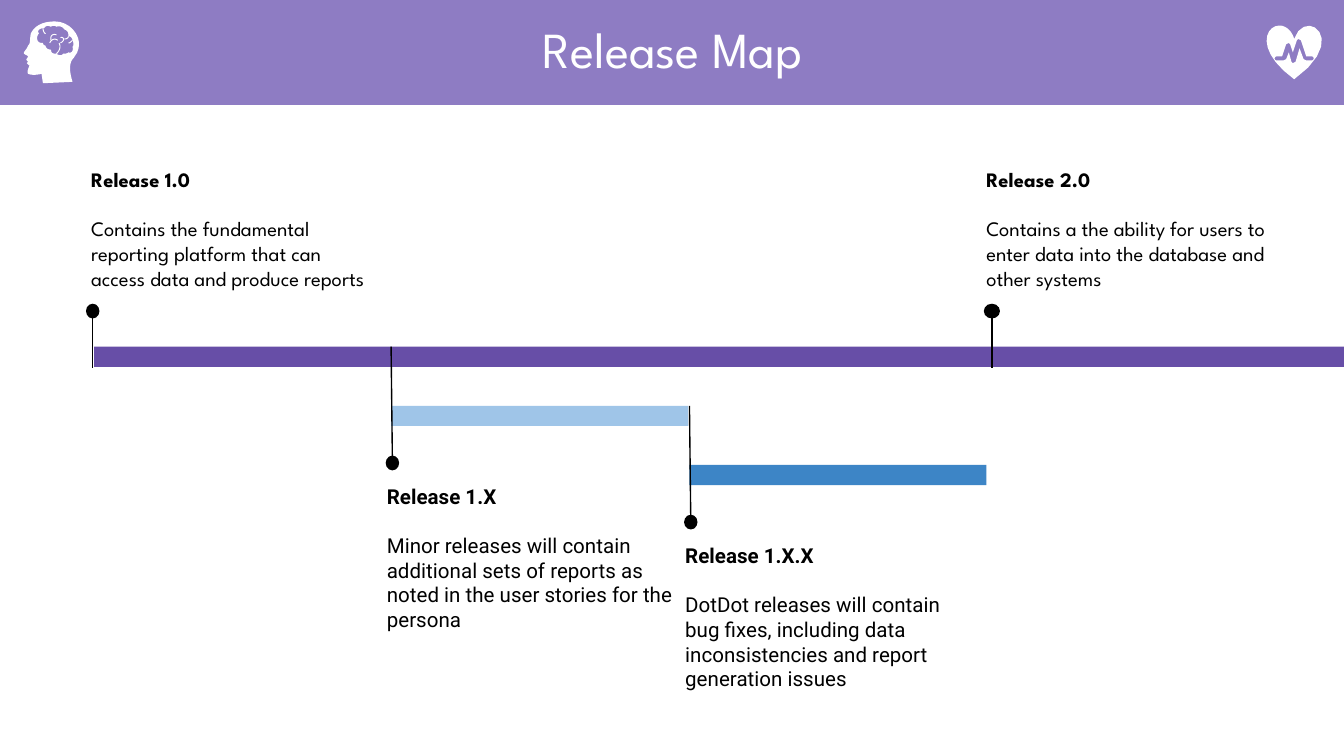
from lxml import etree
from pptx import Presentation
from pptx import util as u
from pptx.dml.color import RGBColor
from pptx.enum import shapes, text
from pptx.oxml.ns import qn

COLORS = {
    "white": "FFFFFF", "black": "000000", "header": "8E7CC3",
    "major": "674EA7", "minor": "9FC5E8", "dotdot": "3D85C6",
}
SPARTAN, ROBOTO = "League Spartan", "Roboto"
BODY_SIZE, BLANK_LINE = 11, 13.2

# Outlines: a start point, then (x, y) line ends or six-number Bezier segments.
HEART = [
    (9.52, 0.19), (9.56, 0.19, 9.61, 0.22, 9.63, 0.29),
    (9.71, 0.05, 10.05, 0.29, 9.63, 0.59), (9.33, 0.37, 9.42, 0.19, 9.52, 0.19),
]
PULSE = [
    (9.66, 0.29), (9.65, 0.3), (9.62, 0.39), (9.6, 0.33), (9.59, 0.32), (9.57, 0.33),
    (9.54, 0.42), (9.5, 0.42), (9.48, 0.42, 9.48, 0.45, 9.5, 0.45), (9.55, 0.45),
    (9.57, 0.44), (9.59, 0.39), (9.61, 0.46), (9.62, 0.47), (9.64, 0.46), (9.67, 0.36),
    (9.7, 0.44), (9.72, 0.45), (9.76, 0.45), (9.78, 0.45, 9.78, 0.42, 9.76, 0.42),
    (9.72, 0.42), (9.68, 0.3), (9.66, 0.29),
]
HEAD = [
    (0.41, 0.16), (0.54, 0.16, 0.65, 0.31, 0.55, 0.43),
    (0.52, 0.46, 0.51, 0.51, 0.54, 0.61), (0.32, 0.62), (0.31, 0.55),
    (0.27, 0.56, 0.23, 0.56, 0.21, 0.55), (0.2, 0.54, 0.21, 0.51, 0.22, 0.49),
    (0.2, 0.47), (0.21, 0.46), (0.2, 0.45), (0.19, 0.44, 0.21, 0.43, 0.21, 0.42),
    (0.2, 0.41, 0.19, 0.41, 0.18, 0.4), (0.17, 0.39, 0.2, 0.37, 0.21, 0.34),
    (0.23, 0.32, 0.22, 0.3, 0.23, 0.25), (0.26, 0.19, 0.32, 0.16, 0.41, 0.16),
]
BRAIN = [
    (0.38, 0.2), (0.36, 0.19, 0.34, 0.19, 0.33, 0.21), (0.31, 0.21, 0.27, 0.22, 0.29, 0.25),
    (0.27, 0.27, 0.27, 0.32, 0.31, 0.32), (0.32, 0.32), (0.32, 0.33, 0.33, 0.34, 0.34, 0.34),
    (0.34, 0.36, 0.36, 0.37, 0.38, 0.37), (0.38, 0.4, 0.4, 0.4, 0.42, 0.4),
    (0.43, 0.41, 0.46, 0.42, 0.47, 0.4), (0.49, 0.4, 0.5, 0.4, 0.51, 0.39),
    (0.53, 0.4, 0.55, 0.38, 0.54, 0.35), (0.55, 0.34, 0.55, 0.32, 0.54, 0.3),
    (0.54, 0.29, 0.53, 0.27, 0.51, 0.27), (0.51, 0.25, 0.51, 0.23, 0.48, 0.22),
    (0.47, 0.2, 0.44, 0.19, 0.42, 0.2), (0.41, 0.19, 0.39, 0.19, 0.38, 0.2),
]
FOLDS = [
    [(0.32, 0.21), (0.32, 0.23, 0.33, 0.25, 0.34, 0.25)],
    [(0.42, 0.26), (0.4, 0.25, 0.37, 0.26, 0.38, 0.3)],
    [(0.43, 0.3), (0.4, 0.28, 0.38, 0.3, 0.37, 0.32)],
    [(0.45, 0.28), (0.47, 0.27, 0.49, 0.3, 0.45, 0.32)],
    [(0.48, 0.29), (0.5, 0.29, 0.51, 0.28, 0.51, 0.27)],
    [(0.44, 0.32), (0.46, 0.36, 0.43, 0.39, 0.42, 0.4)],
    [(0.51, 0.32), (0.52, 0.32, 0.53, 0.31, 0.54, 0.3)],
]


def flatten(outline, steps=10):
    """Turn an outline into points, sampling each Bezier segment."""
    points = [outline[0]]
    for seg in outline[1:]:
        if len(seg) == 2:
            points.append(seg)
            continue
        p0, p1, p2, p3 = points[-1], seg[:2], seg[2:4], seg[4:]
        for i in range(1, steps + 1):
            t = i / steps
            points.append(tuple(
                (1 - t) ** 3 * a + 3 * (1 - t) ** 2 * t * b + 3 * (1 - t) * t * t * c + t ** 3 * d
                for a, b, c, d in zip(p0, p1, p2, p3)))
    return [(u.Inches(x), u.Inches(y)) for x, y in points]


class Deck:
    """Holds the presentation style and the current 16:9 slide."""

    def __init__(self):
        self.prs = Presentation()
        self.prs.slide_width, self.prs.slide_height = u.Inches(10), u.Inches(10 * 9 / 16)
        self.s = self.prs.slides.add_slide(self.prs.slide_layouts[6])

    def color(self, name):
        return RGBColor.from_string(COLORS[name])

    def paint(self, sp, fill):
        sp.shadow.inherit = False
        sp.fill.solid()
        sp.fill.fore_color.rgb = self.color(fill)
        sp.line.fill.background()

    def shape(self, kind, box, fill):
        sp = self.s.shapes.add_shape(kind, *map(u.Inches, box))
        self.paint(sp, fill)

    def bar(self, box, fill):
        self.shape(shapes.MSO_SHAPE.RECTANGLE, box, fill)

    def icon(self, *outlines):
        """Filled outline; the later outlines cut holes in the first."""
        first, *holes = map(flatten, outlines)
        fb = self.s.shapes.build_freeform(*first[0])
        fb.add_line_segments(first[1:])
        for hole in holes:
            fb.move_to(*hole[0])
            fb.add_line_segments(hole[1:])
        self.paint(fb.convert_to_shape(), "white")

    def stroke(self, outline):
        points = flatten(outline)
        fb = self.s.shapes.build_freeform(*points[0])
        fb.add_line_segments(points[1:], close=False)
        sp = fb.convert_to_shape()
        sp.shadow.inherit = False
        sp.fill.background()
        sp.line.color.rgb = self.color("white")
        sp.line.width = u.Pt(0.5)

    def pin(self, start, end, dot):
        """Line with a round head in the box dot."""
        ln = self.s.shapes.add_connector(
            shapes.MSO_CONNECTOR.STRAIGHT, *map(u.Inches, start + end))
        ln.line.color.rgb = self.color("black")
        ln.line.width = u.Pt(0.75)
        etree.SubElement(ln._element.spPr, qn("a:effectLst"))
        self.shape(shapes.MSO_SHAPE.OVAL, dot, "black")

    def textbox(self, box, lines, anchor, inset):
        tf = self.s.shapes.add_textbox(*map(u.Inches, box)).text_frame
        tf.word_wrap = True
        tf.vertical_anchor = anchor
        tf.margin_left = tf.margin_right = u.Inches(inset[0])
        tf.margin_top = tf.margin_bottom = u.Inches(inset[1])
        tf.text = "\n".join(lines)
        return tf

    def style(self, p, size, face, color, bold=False):
        for r in p.runs:
            r.font.size, r.font.name, r.font.bold = u.Pt(size), face, bold
            r.font.color.rgb = self.color(color)

    def title(self, box, words):
        p = self.textbox(box, [words], text.MSO_ANCHOR.MIDDLE, (0.07, 0.04)).paragraphs[0]
        p.alignment, p.line_spacing = text.PP_ALIGN.CENTER, 0.9
        self.style(p, 27, SPARTAN, "white")

    def note(self, left, top, heading, body, face, anchor):
        tf = self.textbox((left, top, 2.35, 1.09), [heading, body], anchor, (0.1, 0.1))
        head, detail = tf.paragraphs
        detail.space_before = u.Pt(BLANK_LINE)
        self.style(head, BODY_SIZE, face, "black", bold=True)
        self.style(detail, BODY_SIZE, face, "black")

    def major_release(self, x, dot_width, note_left, heading, body):
        self.pin((x, 2.32), (x, 2.74), (x - dot_width / 2, 2.26, dot_width, 0.11))
        self.note(note_left, 1.17, heading, body, SPARTAN, text.MSO_ANCHOR.BOTTOM)

    def minor_release(self, left, top, fill, heading, body):
        self.bar((left, top, 2.21, 0.15), fill)
        self.pin((left + 0.01, top + 0.42), (left, top - 0.44),
                 (left - 0.04, top + 0.37, 0.1, 0.11))
        self.note(left - 0.13, top + 0.48, heading, body, ROBOTO, text.MSO_ANCHOR.TOP)


def main():
    d = Deck()
    d.bar((0, 0, 10, 0.78), "header")
    d.title((0.26, 0.09, 9.49, 0.59), "Release Map")
    d.icon(HEART, PULSE)
    d.icon(HEAD, BRAIN)
    for fold in FOLDS:
        d.stroke(fold)

    d.bar((0.7, 2.58, 9.3, 0.15), "major")
    d.major_release(0.69, 0.1, 0.58, "Release 1.0",
                    "Contains the fundamental reporting platform that can access data "
                    "and produce reports")
    d.minor_release(2.91, 3.02, "minor", "Release 1.X",
                    "Minor releases will contain additional sets of reports as noted "
                    "in the user stories for the persona")
    d.minor_release(5.13, 3.46, "dotdot", "Release 1.X.X",
                    "DotDot releases will contain bug fixes, including data "
                    "inconsistencies and report generation issues")
    d.major_release(7.38, 0.12, 7.24, "Release 2.0",
                    "Contains a the ability for users to enter data into the database "
                    "and other systems")
    d.prs.save("out.pptx")


if __name__ == "__main__":
    main()
